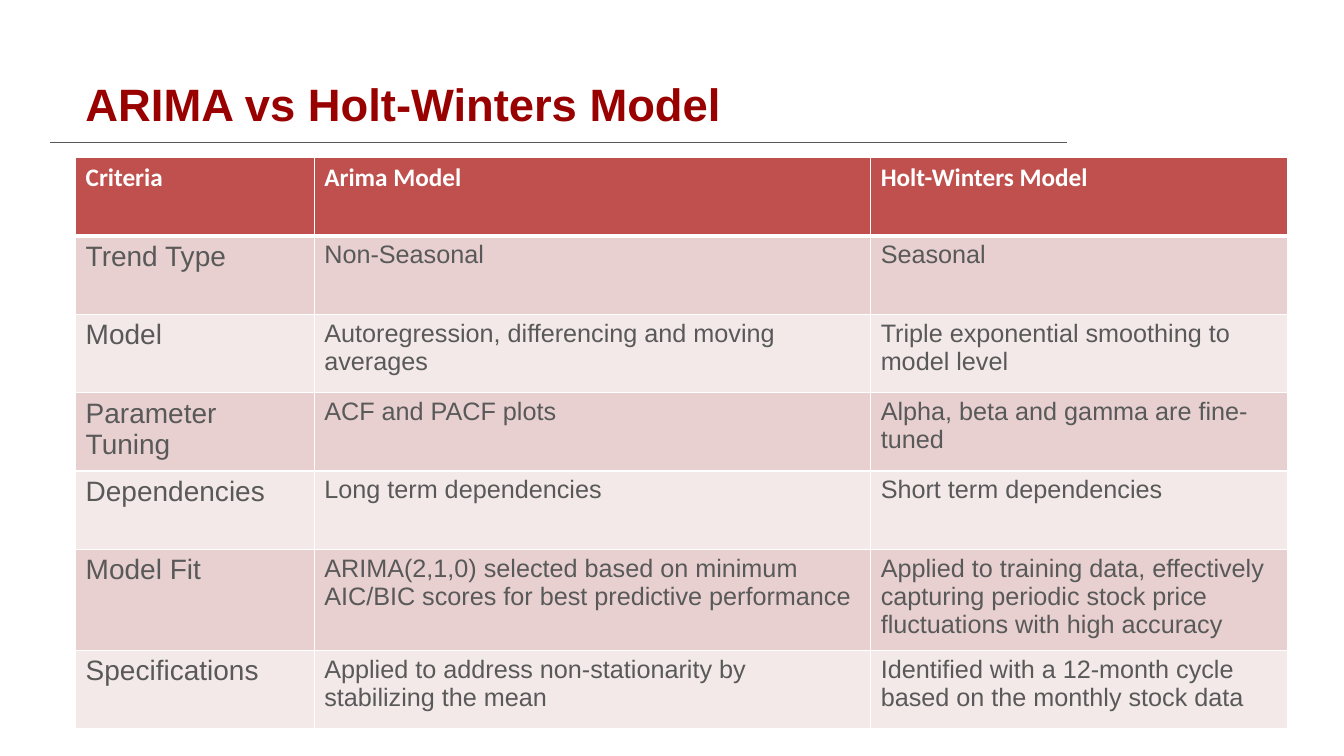
from typing import NamedTuple

from lxml import etree
from pptx import Presentation
from pptx.enum import shapes, text
from pptx.oxml import ns
from pptx.util import Pt
from pptx.dml.color import RGBColor

COLORS = {
    "title": "990000",
    "body": "595959",
    "header": "C0504D",
    "odd_band": "E8D0D0",
    "even_band": "F4E9E9",
    "white": "FFFFFF",
}


class TextStyle(NamedTuple):
    size: float
    font: str
    color: str
    bold: bool = False


class Comparison(NamedTuple):
    criterion: str
    arima: str
    holt_winters: str


TITLE = TextStyle(32.4, "Arial", "title", True)
HEADING = TextStyle(18, "Calibri", "white", True)
CRITERION = TextStyle(20, "Arial", "body")
DETAIL = TextStyle(18, "Arial", "body")

COMPARISONS = [
    Comparison("Criteria", "Arima Model", "Holt-Winters Model"),
    Comparison("Trend Type", "Non-Seasonal", "Seasonal"),
    Comparison("Model", "Autoregression, differencing and moving averages",
               "Triple exponential smoothing to model level"),
    Comparison("Parameter Tuning", "ACF and PACF plots",
               "Alpha, beta and gamma are fine-tuned"),
    Comparison("Dependencies", "Long term dependencies", "Short term dependencies"),
    Comparison("Model Fit",
               "ARIMA(2,1,0) selected based on minimum AIC/BIC scores "
               "for best predictive performance",
               "Applied to training data, effectively capturing periodic "
               "stock price fluctuations with high accuracy"),
    Comparison("Specifications",
               "Applied to address non-stationarity by stabilizing the mean",
               "Identified with a 12-month cycle based on the monthly stock data"),
]
COLUMN_WIDTHS = (170.5, 397.5, 298)
ROW_HEIGHT = 56


def rgb(name: str) -> RGBColor:
    return RGBColor.from_string(COLORS[name])


def write(frame, content: str, style: TextStyle) -> None:
    frame.text = content
    font = frame.paragraphs[0].runs[0].font
    font.size, font.name, font.bold = Pt(style.size), style.font, style.bold
    font.color.rgb = rgb(style.color)


def add_borders(cell, bottom: float, top: float) -> None:
    properties = cell._tc.get_or_add_tcPr()
    widths = {"lnL": 1, "lnR": 1, "lnT": top, "lnB": bottom}
    for index, (side, width) in enumerate(widths.items()):
        line = etree.Element(ns.qn(f"a:{side}"), w=str(Pt(width)))
        fill = etree.SubElement(line, ns.qn("a:solidFill"))
        etree.SubElement(fill, ns.qn("a:srgbClr"), val=COLORS["white"])
        properties.insert(index, line)


def add_title(slide) -> None:
    title = slide.shapes.add_textbox(Pt(54), Pt(34), Pt(498), Pt(79))
    title.text_frame.word_wrap = True
    title.text_frame.vertical_anchor = text.MSO_ANCHOR.MIDDLE
    write(title.text_frame, "ARIMA vs Holt-Winters Model", TITLE)


def add_title_rule(slide) -> None:
    rule = slide.shapes.add_connector(
        shapes.MSO_CONNECTOR.STRAIGHT, Pt(36), Pt(102), Pt(762), Pt(102))
    rule.line.color.rgb = rgb("body")
    rule.line.width = Pt(0.75)
    etree.SubElement(rule._element.spPr, ns.qn("a:effectLst"))


def add_comparison_table(slide) -> None:
    table = slide.shapes.add_table(
        len(COMPARISONS), len(COLUMN_WIDTHS), Pt(54), Pt(112.5),
        Pt(sum(COLUMN_WIDTHS)), Pt(ROW_HEIGHT * len(COMPARISONS))).table
    for column, width in zip(table.columns, COLUMN_WIDTHS):
        column.width = Pt(width)
    for r, comparison in enumerate(COMPARISONS):
        table.rows[r].height = Pt(ROW_HEIGHT)
        band = "header" if r == 0 else "odd_band" if r % 2 else "even_band"
        for c, content in enumerate(comparison):
            cell = table.cell(r, c)
            style = HEADING if r == 0 else CRITERION if c == 0 else DETAIL
            write(cell.text_frame, content, style)
            cell.fill.solid()
            cell.fill.fore_color.rgb = rgb(band)
            # A heavier line separates the header from the body
            add_borders(cell, bottom=3 if r == 0 else 1, top=3 if r == 1 else 1)


def main() -> None:
    presentation = Presentation()
    presentation.slide_width, presentation.slide_height = Pt(960), Pt(540)
    slide = presentation.slides.add_slide(presentation.slide_layouts[6])

    # Heading
    add_title(slide)
    add_title_rule(slide)

    # Model comparison
    add_comparison_table(slide)

    presentation.save("out.pptx")


if __name__ == "__main__":
    main()
